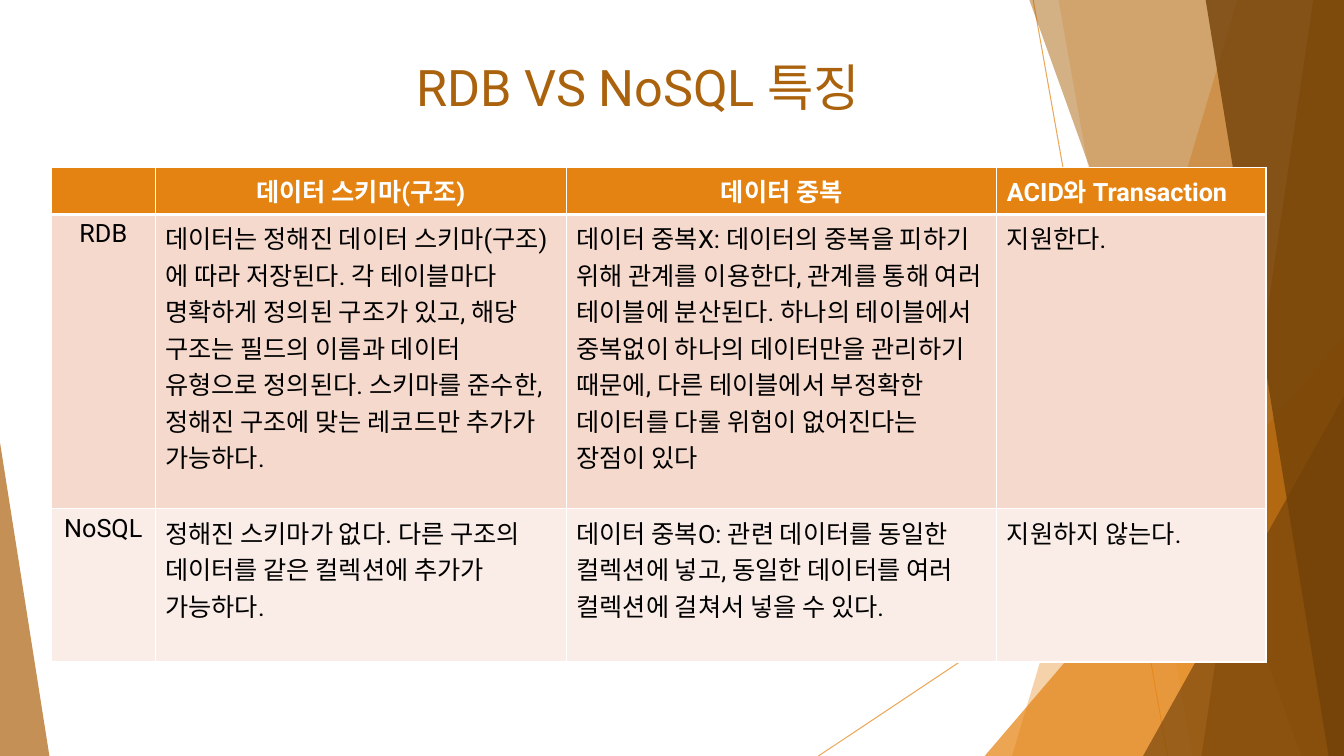
from dataclasses import dataclass

from lxml import etree
from pptx import Presentation
from pptx.dml.color import RGBColor
from pptx.enum import shapes, text
from pptx.oxml import ns
from pptx.util import Pt

WHITE = RGBColor(0xFF, 0xFF, 0xFF)
BLACK = RGBColor(0x00, 0x00, 0x00)
ORANGE = RGBColor(0xE4, 0x83, 0x12)
BROWN = RGBColor(0xAB, 0x62, 0x0D)
DARK_BROWN = RGBColor(0x72, 0x42, 0x09)
PEACH = RGBColor(0xF5, 0xD9, 0xCC)
PALE_PEACH = RGBColor(0xFA, 0xED, 0xE7)

FONT = "Roboto"
WIDTH, HEIGHT = 960, 540
BAND_TOP = -0.6


@dataclass
class Ray:
    x1: float
    y1: float
    x2: float
    y2: float


@dataclass
class Band:
    """A strip from a slanted left edge to the right side of the slide."""
    top_x: float
    bottom_x: float
    color: RGBColor
    opacity: int


@dataclass
class Triangle:
    """A triangle standing on the bottom of the slide."""
    left: float
    top: float
    width: float
    apex: float
    color: RGBColor
    opacity: int


@dataclass
class TableRow:
    height: float
    fill: RGBColor
    color: RGBColor
    bold: bool
    centered_columns: tuple[int, ...]
    texts: tuple[str, ...]


RAYS = [Ray(738, 0, 834, HEIGHT), Ray(WIDTH, 290, 584.6, HEIGHT)]

FACETS = [
    Band(884.2, 722.9, ORANGE, 36),
    Band(756, 851.8, ORANGE, 20),
    Triangle(703.4, 239.8, 256.6, 1, ORANGE, 72),
    Band(735.1, 929.5, BROWN, 50),
    Band(938.2, 858.2, BROWN, 70),
    Band(861.1, 949, DARK_BROWN, 80),
    Triangle(816.5, 283, 143.5, 1, DARK_BROWN, 66),
    Triangle(0, 316.1, 35.3, 0, BROWN, 70),
]

COLUMN_WIDTHS = (74.2, 293.8, 307.4, 192.2)
TABLE_ROWS = [
    TableRow(33.8, ORANGE, WHITE, True, (1, 2),
             ("", "데이터 스키마(구조)", "데이터 중복", "ACID와 Transaction")),
    TableRow(210.2, PEACH, BLACK, False, (0,), (
        "RDB",
        "데이터는 정해진 데이터 스키마(구조)에 따라 저장된다. 각 테이블마다 명확하게 정의된 "
        "구조가 있고, 해당 구조는 필드의 이름과 데이터 유형으로 정의된다. 스키마를 준수한, "
        "정해진 구조에 맞는 레코드만 추가가 가능하다.",
        "데이터 중복X: 데이터의 중복을 피하기 위해 관계를 이용한다, 관계를 통해 여러 테이블에 "
        "분산된다. 하나의 테이블에서 중복없이 하나의 데이터만을 관리하기 때문에, 다른 테이블에서 "
        "부정확한 데이터를 다룰 위험이 없어진다는 장점이 있다",
        "지원한다.")),
    TableRow(109.4, PALE_PEACH, BLACK, False, (0,), (
        "NoSQL",
        "정해진 스키마가 없다. 다른 구조의 데이터를 같은 컬렉션에 추가가 가능하다.",
        "데이터 중복O: 관련 데이터를 동일한 컬렉션에 넣고, 동일한 데이터를 여러 컬렉션에 "
        "걸쳐서 넣을 수 있다.",
        "지원하지 않는다.")),
]


def set_opacity(shape, percent: int) -> None:
    for color in shape.element.iter(ns.qn("a:srgbClr")):
        etree.SubElement(color, ns.qn("a:alpha"), val=str(percent * 1000))


def draw_ray(slide, ray: Ray) -> None:
    connector = slide.shapes.add_connector(
        shapes.MSO_CONNECTOR.STRAIGHT,
        Pt(ray.x1), Pt(ray.y1), Pt(ray.x2), Pt(ray.y2))
    connector.line.color.rgb = ORANGE
    connector.line.width = Pt(0.75)
    set_opacity(connector, 70)
    properties = connector.element.find(ns.qn("p:spPr"))
    etree.SubElement(properties, ns.qn("a:effectLst"))


def draw_facet(slide, facet: Band | Triangle) -> None:
    if isinstance(facet, Band):
        builder = slide.shapes.build_freeform(Pt(facet.top_x), Pt(BAND_TOP))
        corners = [(WIDTH, BAND_TOP), (WIDTH, HEIGHT), (facet.bottom_x, HEIGHT)]
        builder.add_line_segments([(Pt(x), Pt(y)) for x, y in corners], close=True)
        shape = builder.convert_to_shape()
    else:
        shape = slide.shapes.add_shape(
            shapes.MSO_SHAPE.ISOSCELES_TRIANGLE, Pt(facet.left), Pt(facet.top),
            Pt(facet.width), Pt(HEIGHT - facet.top))
        shape.adjustments[0] = facet.apex
    shape.shadow.inherit = False
    shape.fill.solid()
    shape.fill.fore_color.rgb = facet.color
    shape.line.fill.background()
    set_opacity(shape, facet.opacity)


def format_text(paragraph, size: int, color: RGBColor, bold: bool, centered: bool) -> None:
    paragraph.alignment = text.PP_ALIGN.CENTER if centered else text.PP_ALIGN.LEFT
    for run in paragraph.runs:
        run.font.name = FONT
        run.font.size = Pt(size)
        run.font.bold = bold
        run.font.color.rgb = color


def draw_title(slide) -> None:
    title = slide.shapes.title
    title.left, title.top, title.width, title.height = Pt(117.4), Pt(36.7), Pt(676.8), Pt(103.7)
    title.text_frame.text = "RDB VS NoSQL 특징"
    title.text_frame.vertical_anchor = text.MSO_ANCHOR.TOP
    format_text(title.text_frame.paragraphs[0], 36, BROWN, False, True)
    slide.shapes.element.append(title.element)  # in front of the facets


def set_borders(cell, top: float, bottom: float) -> None:
    properties = cell._tc.get_or_add_tcPr()
    for side, width in (("L", 1), ("R", 1), ("T", top), ("B", bottom)):
        line = etree.SubElement(properties, ns.qn(f"a:ln{side}"), w=str(Pt(width)))
        fill = etree.SubElement(line, ns.qn("a:solidFill"))
        etree.SubElement(fill, ns.qn("a:srgbClr"), val=str(WHITE))


def draw_table(slide) -> None:
    frame = slide.shapes.add_table(
        len(TABLE_ROWS), len(COLUMN_WIDTHS), Pt(36.7), Pt(119.5),
        Pt(sum(COLUMN_WIDTHS)), Pt(sum(row.height for row in TABLE_ROWS)))
    table = frame.table
    for column, width in zip(table.columns, COLUMN_WIDTHS):
        column.width = Pt(width)
    for row_index, row in enumerate(TABLE_ROWS):
        table.rows[row_index].height = Pt(row.height)
        for column_index, wording in enumerate(row.texts):
            cell = table.cell(row_index, column_index)
            set_borders(cell, top=3 if row_index == 1 else 1, bottom=3 if row_index == 0 else 1)
            cell.fill.solid()
            cell.fill.fore_color.rgb = row.fill
            cell.text_frame.text = wording
            format_text(cell.text_frame.paragraphs[0], 18, row.color, row.bold,
                        column_index in row.centered_columns)


def main() -> None:
    presentation = Presentation()
    presentation.slide_width, presentation.slide_height = Pt(WIDTH), Pt(HEIGHT)
    slide = presentation.slides.add_slide(presentation.slide_layouts.get_by_name("Title Only"))
    for ray in RAYS:
        draw_ray(slide, ray)
    for facet in FACETS:
        draw_facet(slide, facet)
    draw_title(slide)
    draw_table(slide)
    presentation.save("out.pptx")


if __name__ == "__main__":
    main()
